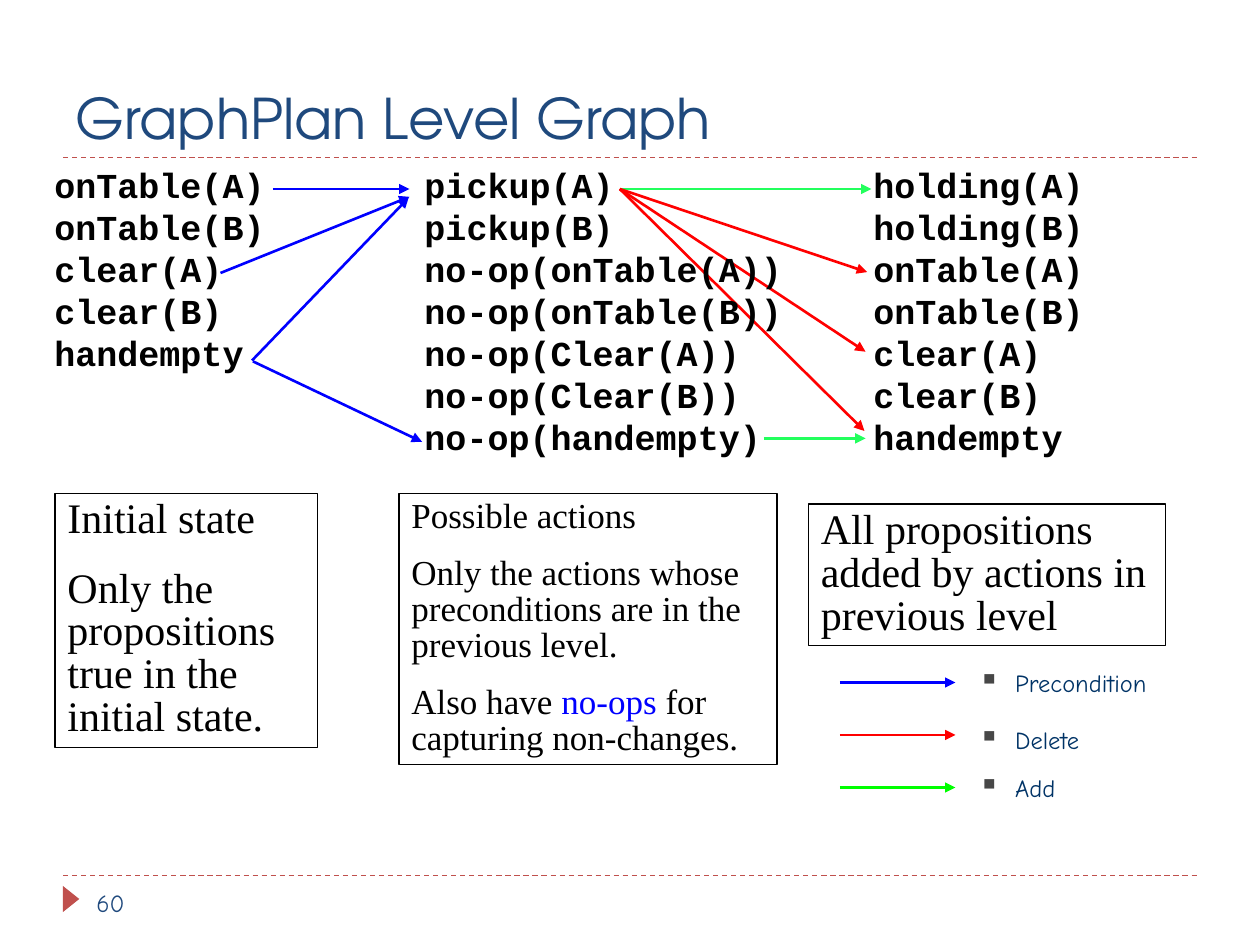
from lxml import etree
from pptx import Presentation
from pptx.dml.color import RGBColor
from pptx.enum import dml, shapes, text
from pptx.oxml import ns
from pptx.util import Pt

BLACK = RGBColor(0x00, 0x00, 0x00)
NAVY = RGBColor(0x1F, 0x49, 0x7D)
BRICK = RGBColor(0xC0, 0x50, 0x4D)
BLUE = RGBColor(0x00, 0x00, 0xFF)
RED = RGBColor(0xFF, 0x00, 0x00)
MINT = RGBColor(0x23, 0xFF, 0x5D)
GREEN = RGBColor(0x00, 0xFF, 0x00)
LEGEND_INK = RGBColor(0x00, 0x33, 0x66)
BULLET_GREY = RGBColor(0x47, 0x47, 0x47)


def write(shape, wording, *, font, size, color=BLACK, bold=False, anchor=text.MSO_ANCHOR.TOP,
          line_spacing=None, gap=0, highlight=None, bullet=False, grow=True):
    """Fill a shape with one paragraph per line; the highlight words turn blue."""
    frame = shape.text_frame
    frame.word_wrap = True
    frame.vertical_anchor = anchor
    fit = text.MSO_AUTO_SIZE
    frame.auto_size = fit.SHAPE_TO_FIT_TEXT if grow else fit.NONE
    for index, line in enumerate(wording.split("\n")):
        paragraph = frame.add_paragraph() if index else frame.paragraphs[0]
        paragraph.alignment = text.PP_ALIGN.LEFT
        paragraph.line_spacing = line_spacing
        paragraph.space_before = Pt(gap if index else 0)
        if bullet:
            properties = paragraph._p.get_or_add_pPr()
            properties.set("marL", str(Pt(21)))
            properties.set("indent", str(Pt(-21)))
            bullet_color = etree.SubElement(properties, ns.qn("a:buClr"))
            etree.SubElement(bullet_color, ns.qn("a:srgbClr"), val=str(BULLET_GREY))
            etree.SubElement(properties, ns.qn("a:buSzPct"), val="120000")
            etree.SubElement(properties, ns.qn("a:buChar"), char="▪")
        parts = line.partition(highlight) if highlight else [line]
        for part in filter(None, parts):
            run = paragraph.add_run()
            run.text = part
            run.font.name = font
            run.font.size = Pt(size)
            run.font.bold = bold
            run.font.color.rgb = BLUE if part == highlight else color


def connect(start, end, color, width=1.5, dashed=False):
    """Draw a dashed rule or an arrow with its head at the end."""
    line = slide.shapes.add_connector(
        shapes.MSO_CONNECTOR.STRAIGHT, *(Pt(value) for value in (*start, *end)))
    line.line.color.rgb = color
    line.line.width = Pt(width)
    if dashed:
        line.line.dash_style = dml.MSO_LINE.DASH
    else:
        etree.SubElement(line.line._get_or_add_ln(), ns.qn("a:tailEnd"), type="triangle")
    etree.SubElement(line._element.spPr, ns.qn("a:effectLst"))


deck = Presentation()
deck.slide_width, deck.slide_height = Pt(720), Pt(540)
slide = deck.slides.add_slide(deck.slide_layouts[5])

# Frame of the slide
for rule_y in (500.4, 90):
    connect((36, rule_y), (684, rule_y), BRICK, width=0.75, dashed=True)

marker = slide.shapes.add_shape(
    shapes.MSO_SHAPE.ISOSCELES_TRIANGLE, Pt(33.1), Pt(509), Pt(15), Pt(9.4))
marker.rotation = 90
marker.shadow.inherit = False
marker.fill.solid()
marker.fill.fore_color.rgb = BRICK
marker.line.fill.background()

title = slide.shapes.title
title.left, title.top, title.width, title.height = Pt(36), Pt(12), Pt(648), Pt(78)
write(title, "GraphPlan Level Graph", font="TeX Gyre Adventor", size=32, color=NAVY,
      anchor=text.MSO_ANCHOR.BOTTOM, grow=False)

page_number = slide.shapes.add_textbox(Pt(48), Pt(504), Pt(156), Pt(25))
write(page_number, "60", font="Comic Neue", size=14, color=NAVY, grow=False)

# Explanations under the levels
explanations = [
    (31.5, 282, 150, 145, 24, "Initial state\nOnly the propositions true in the initial state."),
    (462, 288, 204, 81, 24, "All propositions added by actions in previous level"),
    (228, 282, 216, 155, 20,
     "Possible actions\n"
     "Only the actions whose preconditions are in the previous level.\n"
     "Also have no-ops for capturing non-changes."),
]
for left, top, width, height, size, wording in explanations:
    note = slide.shapes.add_shape(
        shapes.MSO_SHAPE.RECTANGLE, Pt(left), Pt(top), Pt(width), Pt(height))
    note.shadow.inherit = False
    note.fill.background()
    note.line.color.rgb = BLACK
    note.line.width = Pt(0.75)
    write(note, wording, font="Times New Roman", size=size, line_spacing=0.85,
          gap=size * 0.625, highlight="no-ops")

# Arrows between the levels
pickup_effects = (354.2, 108)
level_arrows = [
    ((156, 108), (234, 108), BLUE),
    ((126, 156), (234, 112.5), BLUE),
    ((144, 206), (233.5, 113), BLUE),
    ((144.5, 206.5), (241.2, 252.5), BLUE),
    (pickup_effects, (498, 108), MINT),
    ((436.5, 250.5), (494.6, 250.5), MINT),
    (pickup_effects, (494.6, 201), RED),
    (pickup_effects, (494, 246.3), RED),
    (pickup_effects, (495.5, 155.5), RED),
]
for start, end, color in level_arrows:
    connect(start, end, color)

# Levels of the graph
levels = [
    (24, 186, "onTable(A)\nonTable(B)\nclear(A)\nclear(B)\nhandempty"),
    (492, 186, "holding(A)\nholding(B)\nonTable(A)\nonTable(B)\nclear(A)\nclear(B)\nhandempty"),
    (235.5, 222, "pickup(A)\npickup(B)\nno-op(onTable(A))\nno-op(onTable(B))\n"
                 "no-op(Clear(A))\nno-op(Clear(B))\nno-op(handempty)"),
]
for left, width, wording in levels:
    height = 7.2 + 24 * len(wording.split("\n"))
    level = slide.shapes.add_textbox(Pt(left), Pt(90), Pt(width), Pt(height))
    write(level, wording, font="Courier New", size=20, bold=True)

# Legend
legend = [("Precondition", BLUE, 378, 132), ("Delete", RED, 410.5, 108), ("Add", GREEN, 438, 108)]
for row, (meaning, color, top, width) in enumerate(legend):
    arrow_y = 390 + 30 * row
    connect((480, arrow_y), (546, arrow_y), color)
    entry = slide.shapes.add_textbox(Pt(552), Pt(top), Pt(width), Pt(24))
    write(entry, meaning, font="Comic Neue", size=14, color=LEGEND_INK, bullet=True)

deck.save("out.pptx")
